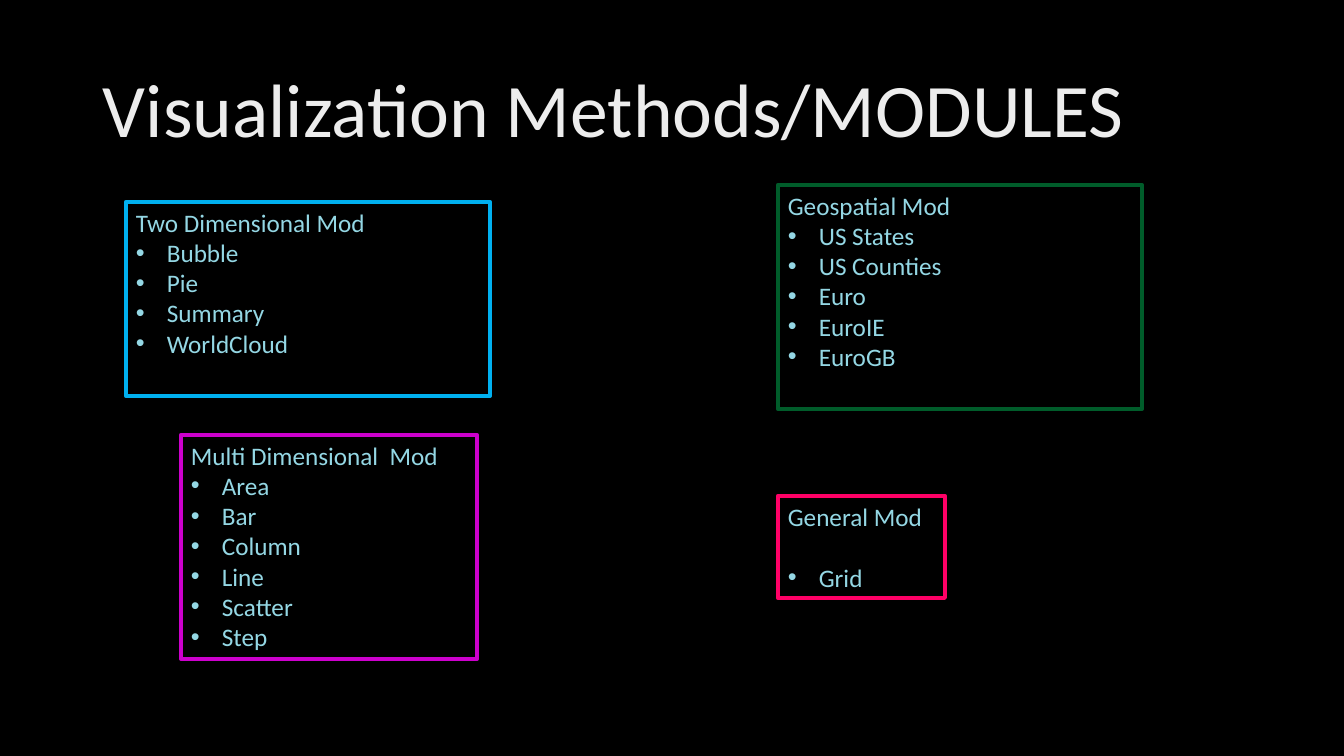
from lxml import etree
from pptx import Presentation
from pptx import util as u
from pptx.dml.color import RGBColor
from pptx.enum import text
from pptx.oxml.ns import qn

EMU_PER_PX = 914400 / 100.8
FONT = "Calibri"
INDENT = 31

# name, (left, top, width, height), outline, space before the list in points, items
MODULES = [
    ("Two Dimensional Mod", (126, 202, 364, 194), "00B0F0", 0,
     ["Bubble", "Pie", "Summary", "WorldCloud"]),
    ("Geospatial Mod", (778, 185, 364, 224), "005C2A", 0,
     ["US States", "US Counties", "Euro", "EuroIE", "EuroGB"]),
    ("Multi Dimensional  Mod", (181, 435, 296, 224), "CC00CC", 0,
     ["Area", "Bar", "Column", "Line", "Scatter", "Step"]),
    ("General Mod", (778, 496, 167, 102), "FF0066", 22, ["Grid"]),
]


def px(n):
    return u.Emu(round(n * EMU_PER_PX))


def color(hex_string):
    return RGBColor.from_string(hex_string)


def add_text(s, box, lines, size, hex_color):
    sp = s.shapes.add_textbox(*map(px, box))
    tf = sp.text_frame
    tf.word_wrap = True
    tf.text = "\n".join(lines)
    for p in tf.paragraphs:
        p.font.name = FONT
        p.font.size = u.Pt(size)
        p.font.color.rgb = color(hex_color)
    return sp


def add_bullet(p):
    pPr = p._p.get_or_add_pPr()
    pPr.set("marL", str(px(INDENT)))
    pPr.set("indent", str(-px(INDENT)))
    font = etree.Element(qn("a:buFont"), typeface="Arial")
    char = etree.Element(qn("a:buChar"), char="•")
    defaults = pPr.find(qn("a:defRPr"))
    defaults.addprevious(font)
    defaults.addprevious(char)


def add_title(s, title):
    tf = add_text(s, (93, 40, 1159, 146), [title], 54, "EDEDED").text_frame
    tf.vertical_anchor = text.MSO_ANCHOR.MIDDLE
    tf.paragraphs[0].line_spacing = 0.9


def add_module(s, name, box, outline, gap, items):
    sp = add_text(s, box, [name, *items], 18, "94D7E4")
    sp.line.color.rgb = color(outline)
    sp.line.width = u.Pt(3)
    bullets = sp.text_frame.paragraphs[1:]
    for p in bullets:
        add_bullet(p)
    if gap:
        bullets[0].space_before = u.Pt(gap)


def main():
    prs = Presentation()
    prs.slide_width, prs.slide_height = px(1344), px(756)
    s = prs.slides.add_slide(prs.slide_layouts[6])
    s.background.fill.solid()
    s.background.fill.fore_color.rgb = color("000000")
    add_title(s, "Visualization Methods/MODULES")
    for module in MODULES:
        add_module(s, *module)
    prs.save("out.pptx")


if __name__ == "__main__":
    main()
